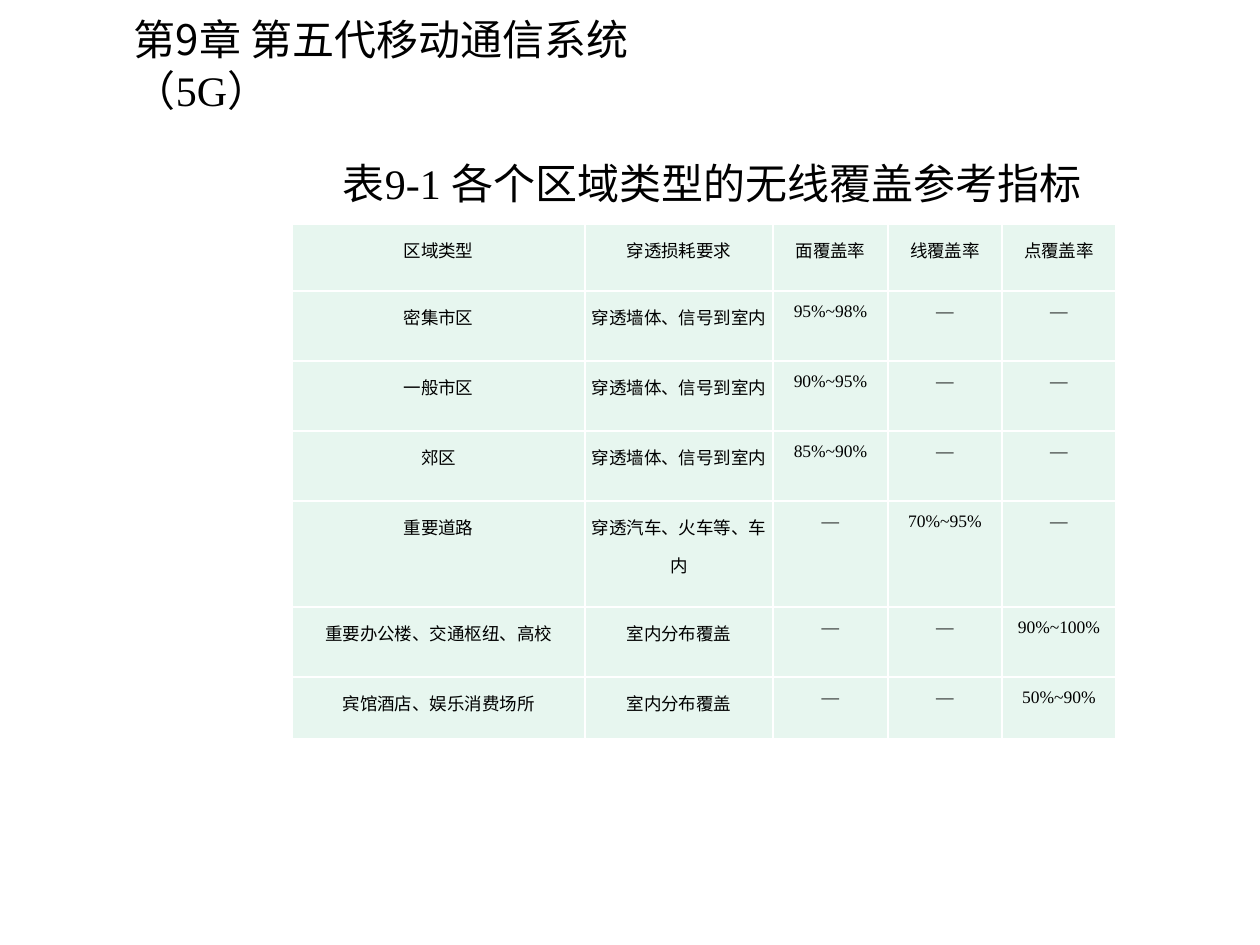
from lxml.etree import SubElement
from pptx import Presentation
from pptx.dml.color import RGBColor
from pptx.enum.text import MSO_ANCHOR as Anchor, PP_ALIGN as Align
from pptx.oxml.ns import qn
from pptx.util import Emu, Pt

SCALE = 914400 / 126
BLACK = RGBColor(0x00, 0x00, 0x00)
WHITE = RGBColor(0xFF, 0xFF, 0xFF)
MINT = RGBColor(0xE7, 0xF6, 0xEF)
SANS = "Noto Sans CJK SC"
SERIF = "Times New Roman"

COLUMN_WIDTHS = [293, 188, 115, 114, 114]
ROW_HEIGHTS = [67, 70, 70, 70, 106, 70, 62]
INDOORS = "穿透墙体、信号到室内"
COVERAGE = [
    ["区域类型", "穿透损耗要求", "面覆盖率", "线覆盖率", "点覆盖率"],
    ["密集市区", INDOORS, "95%~98%", "—", "—"],
    ["一般市区", INDOORS, "90%~95%", "—", "—"],
    ["郊区", INDOORS, "85%~90%", "—", "—"],
    ["重要道路", "穿透汽车、火车等、车内", "—", "70%~95%", "—"],
    ["重要办公楼、交通枢纽、高校", "室内分布覆盖", "—", "—", "90%~100%"],
    ["宾馆酒店、娱乐消费场所", "室内分布覆盖", "—", "—", "50%~90%"],
]


def px(length):
    return Emu(round(length * SCALE))


class SlideBuilder:
    def __init__(self, slide):
        self.slide = slide

    def style(self, paragraph, size, spacing=None, align=Align.LEFT):
        paragraph.font.size = Pt(size)
        paragraph.font.color.rgb = BLACK
        paragraph.line_spacing = spacing
        paragraph.alignment = align

    def add_runs(self, paragraph, runs):
        for text, typeface in runs:
            run = paragraph.add_run()
            run.text = text
            run.font.name = typeface
            SubElement(run.font._element, qn("a:ea")).set("typeface", SANS)

    def text(self, left, top, width, height, runs, spacing=None, inset_left=13, inset_top=6):
        frame = self.slide.shapes.add_textbox(*map(px, (left, top, width, height))).text_frame
        frame.word_wrap = True
        frame.vertical_anchor = Anchor.TOP
        frame.margin_left, frame.margin_top = px(inset_left), px(inset_top)
        paragraph = frame.paragraphs[0]
        self.style(paragraph, 24, spacing)
        self.add_runs(paragraph, runs)

    def table(self, left, top, widths, heights, rows):
        table = self.slide.shapes.add_table(
            len(rows), len(widths), px(left), px(top), px(sum(widths)), px(sum(heights))
        ).table
        for column, width in zip(table.columns, widths):
            column.width = px(width)
        for row, height, texts in zip(table.rows, heights, rows):
            row.height = px(height)
            for cell, text in zip(row.cells, texts):
                self.cell(cell, text)

    def cell(self, cell, text):
        cell.margin_left = cell.margin_right = px(2)
        cell.margin_top = cell.margin_bottom = px(1)
        paragraph = cell.text_frame.paragraphs[0]
        self.style(paragraph, 10, 1.5, Align.CENTER)
        self.add_runs(paragraph, [(text, SERIF)])
        properties = cell._tc.get_or_add_tcPr()
        for side in ("a:lnL", "a:lnR", "a:lnT", "a:lnB"):
            line = SubElement(properties, qn(side), w=str(Pt(1)))
            fill = SubElement(line, qn("a:solidFill"))
            SubElement(fill, qn("a:srgbClr"), val=str(WHITE))
        cell.fill.solid()
        cell.fill.fore_color.rgb = MINT


def main():
    presentation = Presentation()
    presentation.slide_width, presentation.slide_height = px(1260), px(945)
    builder = SlideBuilder(presentation.slides.add_slide(presentation.slide_layouts[6]))
    builder.text(121, 8, 655, 63,
                 [("第9章 第五代移动通信系统（", SANS), ("5G", SERIF), ("）", SANS)])
    builder.text(78, 73, 1119, 777, [("表9-1 各个区域类型的无线覆盖参考指标", SERIF)],
                 spacing=1.3, inset_left=265, inset_top=69)
    builder.table(292, 224, COLUMN_WIDTHS, ROW_HEIGHTS, COVERAGE)
    presentation.save("out.pptx")


if __name__ == "__main__":
    main()
